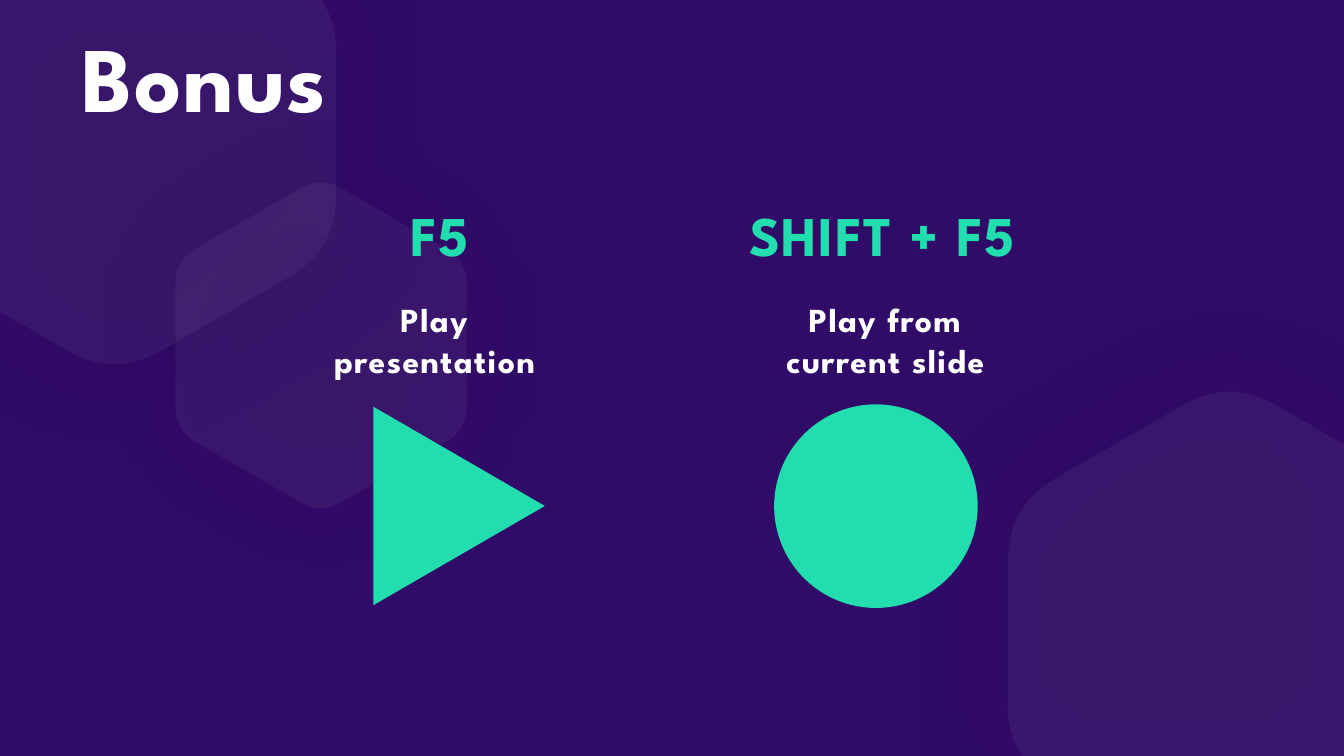
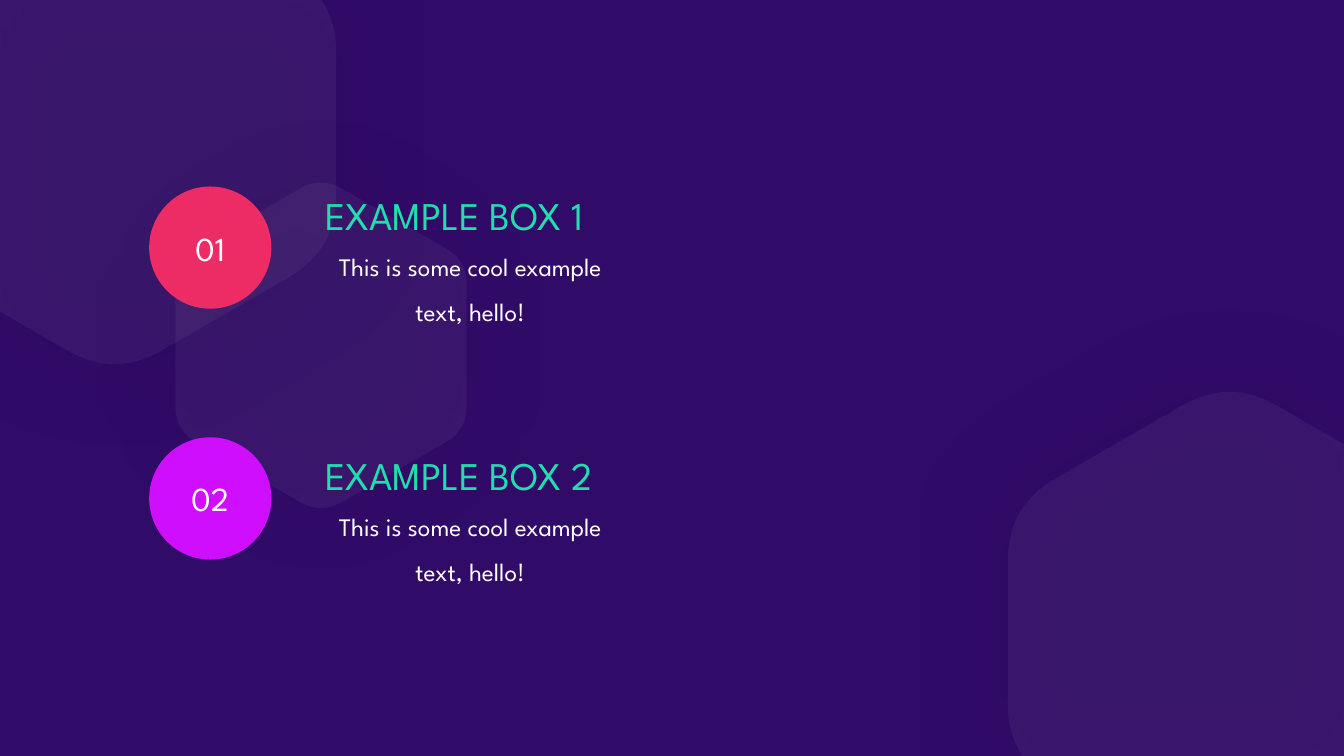
import pptx
import pptx.dml.color
import pptx.enum.shapes
import pptx.enum.text
import pptx.oxml.ns
import pptx.util
from lxml import etree

Cm = pptx.util.Cm
SHAPE = pptx.enum.shapes.MSO_SHAPE
LEFT = pptx.enum.text.PP_ALIGN.LEFT
CENTER = pptx.enum.text.PP_ALIGN.CENTER

WIDTH, HEIGHT = 33.87, 19.05
FONT = "League Spartan"
COLORS = {
    "background": "310B68",
    "white": "FFFFFF",
    "mint": "22DDAD",
    "red": "ED2B65",
    "violet": "CE0EFC",
    "shadow": "000000",
}

# Hexagon corners: x, y and the distance at which rounding begins (cm)
CORNER_HEXAGON = [
    (WIDTH, HEIGHT, 0), (WIDTH, 11.2, 0), (30.99, 9.53, 1.37),
    (25.4, 12.75, 1.37), (25.4, 18.39, 0.58), (25.76, HEIGHT, 0),
]
OPPOSITE_HEXAGON = [(WIDTH - x, HEIGHT - y, setback) for x, y, setback in CORNER_HEXAGON]
SMALL_HEXAGON = [
    (x, y, 0.6) for x, y in [
        (8.09, 4.45), (11.76, 6.56), (11.76, 10.84),
        (8.09, 12.95), (4.42, 10.84), (4.42, 6.56),
    ]
]


def rounded_outline(corners, steps=10):
    """Return outline points, with each corner replaced by a quadratic curve."""
    points = []
    for index, (x, y, setback) in enumerate(corners):
        if not setback:
            points.append((x, y))
            continue
        ends = []
        for neighbour in (corners[index - 1], corners[(index + 1) % len(corners)]):
            dx, dy = neighbour[0] - x, neighbour[1] - y
            ratio = setback / (dx ** 2 + dy ** 2) ** 0.5
            ends.append((x + dx * ratio, y + dy * ratio))
        (x1, y1), (x2, y2) = ends
        for step in range(steps + 1):
            t = step / steps
            a, b, c = (1 - t) ** 2, 2 * t * (1 - t), t ** 2
            points.append((a * x1 + b * x + c * x2, a * y1 + b * y + c * y2))
    return points


class Deck:
    def __init__(self):
        self.presentation = pptx.Presentation()
        self.presentation.slide_width = Cm(WIDTH)
        self.presentation.slide_height = Cm(HEIGHT)
        self.slide = None

    def color(self, name):
        return pptx.dml.color.RGBColor.from_string(COLORS[name])

    def paint(self, shape, fill):
        shape.shadow.inherit = False
        shape.fill.solid()
        shape.fill.fore_color.rgb = self.color(fill)
        shape.line.fill.background()

    def add_slide(self):
        self.slide = self.presentation.slides.add_slide(self.presentation.slide_layouts[6])
        fill = self.slide.background.fill
        fill.solid()
        fill.fore_color.rgb = self.color("background")
        for corners in (OPPOSITE_HEXAGON, SMALL_HEXAGON, CORNER_HEXAGON):
            self.hexagon(corners)

    def hexagon(self, corners):
        """Add a faint translucent hexagon with a wide soft shadow."""
        points = [(Cm(x), Cm(y)) for x, y in rounded_outline(corners)]
        builder = self.slide.shapes.build_freeform(*points[0])
        builder.add_line_segments(points[1:], close=True)
        shape = builder.convert_to_shape()
        self.paint(shape, "white")
        qn = pptx.oxml.ns.qn
        properties = shape._element.spPr
        fill_color = properties.find(qn("a:solidFill")).find(qn("a:srgbClr"))
        etree.SubElement(fill_color, qn("a:alpha"), val="5000")
        shadow = etree.SubElement(
            properties.find(qn("a:effectLst")), qn("a:outerShdw"),
            blurRad=str(pptx.util.Pt(75)), dist="0", dir="0", algn="ctr", rotWithShape="0")
        etree.SubElement(shadow, qn("a:srgbClr"), val=COLORS["shadow"])

    def set_text(self, frame, text, size, color, align, bold=False, spacing=None, tracking=0):
        frame.word_wrap = True
        frame.text = text
        paragraph = frame.paragraphs[0]
        paragraph.alignment = align
        if spacing:
            paragraph.line_spacing = spacing
        run = paragraph.runs[0]
        run.font.name = FONT
        run.font.size = pptx.util.Pt(size)
        run.font.bold = bold
        run.font.color.rgb = self.color(color)
        if tracking:
            run.font._element.set("spc", str(tracking * 100))

    def text(self, text, left, top, width, height, size, color, align=CENTER, **style):
        box = self.slide.shapes.add_textbox(Cm(left), Cm(top), Cm(width), Cm(height))
        box.text_frame.auto_size = pptx.enum.text.MSO_AUTO_SIZE.SHAPE_TO_FIT_TEXT
        self.set_text(box.text_frame, text, size, color, align, **style)

    def heading(self, text, left, top, width, height, size, color):
        self.text(text, left, top, width, height, size, color, bold=True, tracking=1)

    def shape(self, kind, left, top, width, height, fill, rotation=0):
        shape = self.slide.shapes.add_shape(kind, Cm(left), Cm(top), Cm(width), Cm(height))
        shape.rotation = rotation
        self.paint(shape, fill)
        return shape

    def badge(self, text, left, top, diameter, fill):
        shape = self.shape(SHAPE.OVAL, left, top, diameter, diameter, fill)
        shape.text_frame.vertical_anchor = pptx.enum.text.MSO_ANCHOR.MIDDLE
        self.set_text(shape.text_frame, text, 24, "white", CENTER)


def shortcuts_slide(deck):
    deck.add_slide()
    # Shortcut keys and what they do
    deck.heading("F5", 7.72, 4.93, 6.73, 1.96, 40, "mint")
    deck.heading("SHIFT + F5", 16.89, 4.93, 10.69, 1.96, 40, "mint")
    deck.heading("Play presentation", 7.59, 7.42, 6.73, 2.31, 24, "white")
    deck.heading("Play from current slide", 18.95, 7.42, 6.73, 2.31, 24, "white")
    # Play symbols
    deck.shape(SHAPE.ISOSCELES_TRIANGLE, 9.07, 10.59, 5, 4.32, "mint", rotation=90)
    deck.shape(SHAPE.OVAL, 19.51, 10.19, 5.13, 5.13, "mint")
    # Title
    deck.heading("Bonus", 0.58, 0.38, 9.14, 3.07, 66, "white")


def examples_slide(deck):
    deck.add_slide()
    # Numbered rows: badge top, text top, badge colour
    rows = [(4.7, 4.7, "red"), (11.02, 11.25, "violet")]
    for number, (badge_top, text_top, fill) in enumerate(rows, start=1):
        deck.badge(f"{number:02}", 3.76, badge_top, 3.08, fill)
        deck.text(f"EXAMPLE BOX {number}", 7.95, text_top, 8, 1.45, 28, "mint", LEFT)
        deck.text("This is some cool example text, hello!", 7.85, text_top + 1.13,
                  8, 2.46, 18, "white", spacing=1.5)


def main():
    deck = Deck()
    shortcuts_slide(deck)
    examples_slide(deck)
    deck.presentation.save("out.pptx")


if __name__ == "__main__":
    main()
